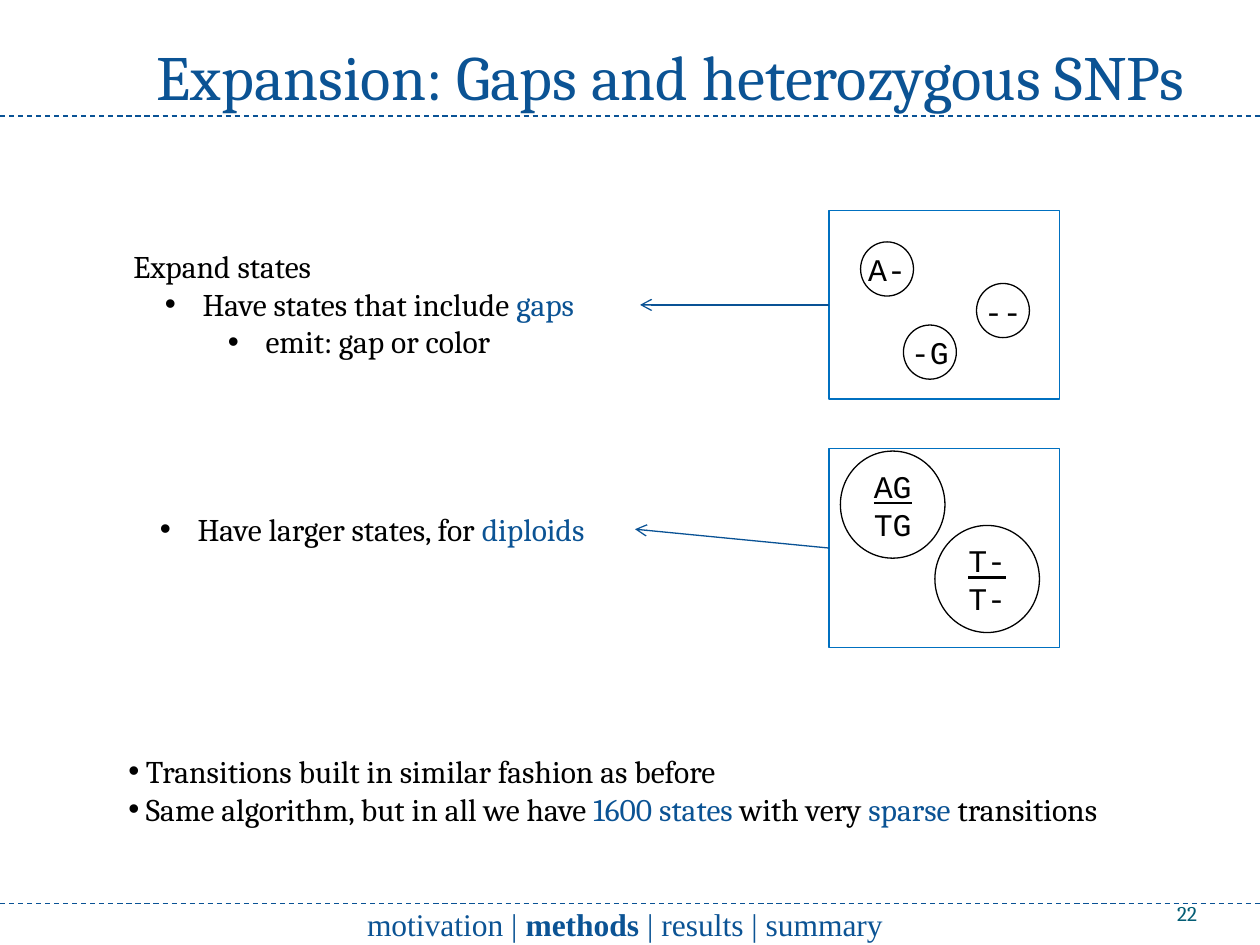
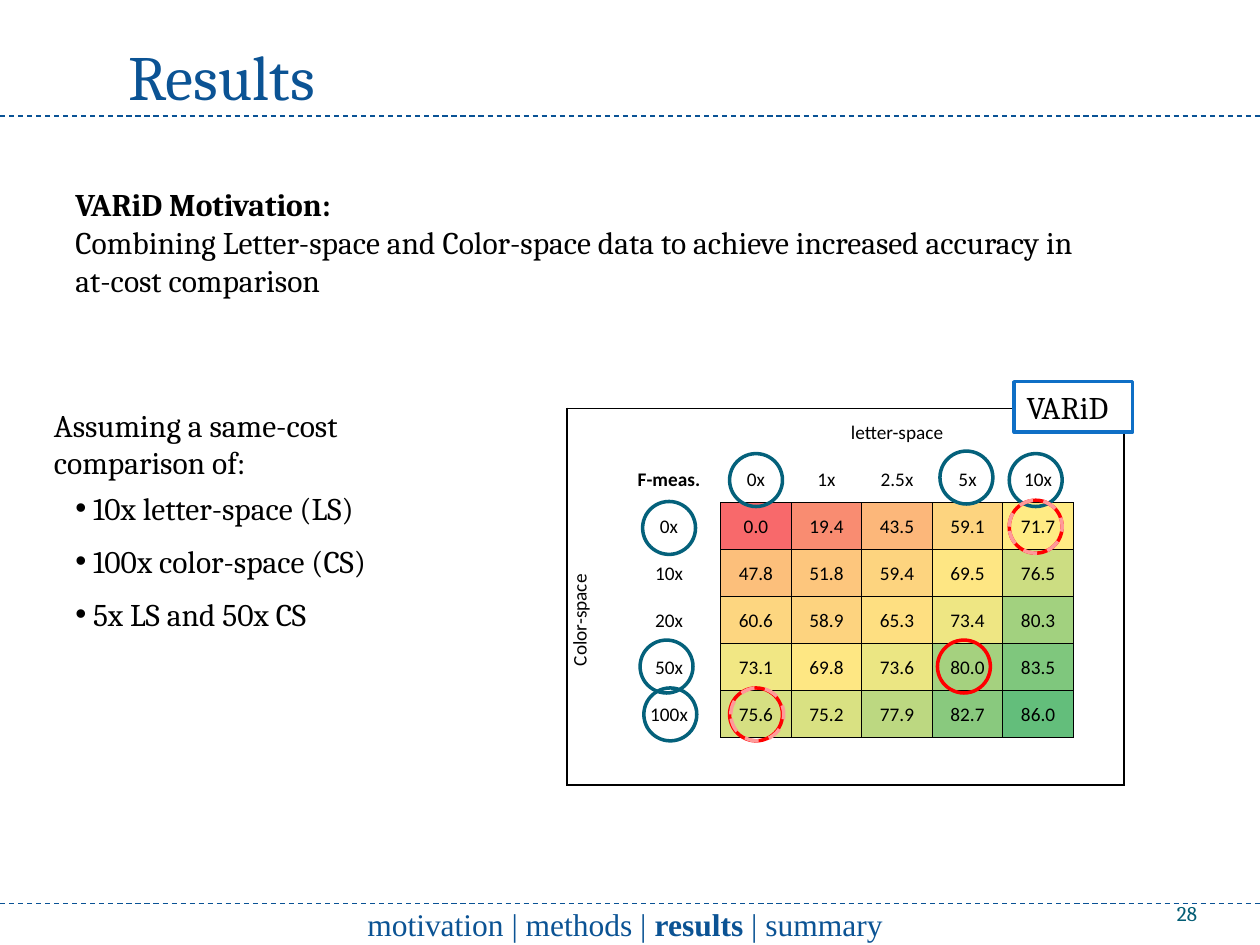
from dataclasses import dataclass
from typing import Optional

from lxml import etree
from pptx import Presentation
from pptx.dml.color import RGBColor
from pptx.enum.dml import MSO_LINE
from pptx.enum.shapes import MSO_CONNECTOR, MSO_SHAPE
from pptx.enum.text import MSO_ANCHOR, PP_ALIGN
from pptx.oxml.ns import qn
from pptx.util import Inches, Pt

RECTANGLE, ELLIPSE, STATE_CIRCLE = MSO_SHAPE.RECTANGLE, MSO_SHAPE.OVAL, MSO_SHAPE.FLOWCHART_CONNECTOR
STRAIGHT = MSO_CONNECTOR.STRAIGHT
DASH = MSO_LINE.DASH
LEFT, CENTER, RIGHT = PP_ALIGN.LEFT, PP_ALIGN.CENTER, PP_ALIGN.RIGHT
TOP, MIDDLE, BOTTOM = MSO_ANCHOR.TOP, MSO_ANCHOR.MIDDLE, MSO_ANCHOR.BOTTOM


@dataclass(frozen=True)
class Theme:
    black: str = "000000"
    white: str = "FFFFFF"
    accent: str = "0B5394"
    rule: str = "095295"
    number: str = "045D75"
    frame: str = "0070C0"
    tag: str = "0F6FC6"
    teal: str = "04617B"
    red: str = "FF0000"
    pink: str = "FF9999"
    serif: str = "Cambria"
    footer: str = "Times New Roman"
    mono: str = "Courier New"
    table: str = "Calibri"
    title_size: int = 36
    body_size: int = 18
    number_size: int = 12
    table_size: int = 11


THEME = Theme()
SECTIONS = ("motivation", "methods", "results", "summary")


@dataclass(frozen=True)
class Area:
    left: float
    top: float
    width: float
    height: float

    def lengths(self) -> tuple:
        return tuple(Inches(n) for n in (self.left, self.top, self.width, self.height))


@dataclass(frozen=True)
class Span:
    text: str
    color: str = THEME.black
    bold: bool = False


@dataclass(frozen=True)
class Bullet:
    """Text indent and hanging distance, in inches."""
    indent: float
    hang: float


@dataclass(frozen=True)
class Para:
    spans: tuple
    bullet: Optional[Bullet] = None


@dataclass(frozen=True)
class State:
    text: str
    area: Area


@dataclass(frozen=True)
class Ring:
    left: float
    top: float
    color: str
    dash: bool = False


TIGHT = Bullet(0.14, 0.14)
FIRST_LEVEL = Bullet(0.55, 0.3)
SECOND_LEVEL = Bullet(1.05, 0.3)


def rgb(color: str) -> RGBColor:
    return RGBColor.from_string(color)


def style_font(font, size: int, name: str, color: str, bold: bool = False) -> None:
    font.size, font.name, font.bold = Pt(size), name, bold
    font.color.rgb = rgb(color)


def add_bullet(para, bullet: Bullet) -> None:
    props = para._p.get_or_add_pPr()
    props.set("marL", str(Inches(bullet.indent)))
    props.set("indent", str(-Inches(bullet.hang)))
    etree.SubElement(props, qn("a:buFont")).set("typeface", "Arial")
    etree.SubElement(props, qn("a:buChar")).set("char", "•")


def fill_frame(frame, paras: list, size: int = THEME.body_size, name: str = THEME.serif,
               align=LEFT) -> None:
    for index, content in enumerate(paras):
        para = frame.add_paragraph() if index else frame.paragraphs[0]
        if content.bullet:
            add_bullet(para, content.bullet)
        para.alignment = align
        for span in content.spans:
            run = para.add_run()
            run.text = span.text
            style_font(run.font, size, name, span.color, span.bold)


def clear_margins(frame) -> None:
    frame.margin_left = frame.margin_right = frame.margin_top = frame.margin_bottom = 0


def add_text(page, area: Area, paras: list, anchor=TOP, **style):
    frame = page.shapes.add_textbox(*area.lengths()).text_frame
    frame.word_wrap = True
    frame.vertical_anchor = anchor
    fill_frame(frame, paras, **style)
    return frame


def add_outline(page, kind, area: Area, color: str, width: float):
    shape = page.shapes.add_shape(kind, *area.lengths())
    shape.shadow.inherit = False
    shape.fill.background()
    shape.line.color.rgb = rgb(color)
    shape.line.width = Pt(width)
    return shape


def add_line(page, start: tuple, end: tuple, dash: bool = False, arrow: bool = False) -> None:
    ends = [Inches(n) for n in (*start, *end)]
    connector = page.shapes.add_connector(STRAIGHT, *ends)
    connector.line.color.rgb = rgb(THEME.rule)
    connector.line.width = Pt(0.75)
    if dash:
        connector.line.dash_style = DASH
    if arrow:
        etree.SubElement(connector.line._get_or_add_ln(), qn("a:tailEnd")).set("type", "arrow")
    etree.SubElement(connector._element.spPr, qn("a:effectLst"))


def add_page(deck, title: str, title_area: Area, section: str, number: int, align=LEFT):
    """Blank page with the shared title, rules, section footer and page number."""
    page = deck.slides.add_slide(deck.slide_layouts[6])
    for height in (0.92, 7.17):
        add_line(page, (0, height), (10, height), dash=True)
    add_text(page, title_area, [Para((Span(title, THEME.accent),))],
             size=THEME.title_size, align=align)
    before, after = " | ".join(SECTIONS).split(section)
    trail = (Span(before, THEME.accent), Span(section, THEME.accent, True), Span(after, THEME.accent))
    add_text(page, Area(2.42, 7.17, 5.08, 0.33), [Para(trail)], MIDDLE,
             name=THEME.footer, align=CENTER)
    frame = add_text(page, Area(8.67, 6.95, 0.83, 0.4), [Para((Span(str(number), THEME.number),))],
                     BOTTOM, size=THEME.number_size, align=RIGHT)
    clear_margins(frame)
    return page


def add_state(page, state: State) -> None:
    circle = add_outline(page, STATE_CIRCLE, state.area, THEME.black, 0.75)
    frame = circle.text_frame
    clear_margins(frame)
    frame.word_wrap = False
    frame.vertical_anchor = MIDDLE
    frame.text = state.text
    para = frame.paragraphs[0]
    para.alignment = CENTER
    for run in para.runs:
        style_font(run.font, THEME.body_size, THEME.mono, THEME.black)
    para.runs[0].font.underline = len(para.runs) > 1


STATES = (
    State("A-", Area(6.83, 1.92, 0.42, 0.43)),
    State("--", Area(7.75, 2.25, 0.42, 0.43)),
    State("-G", Area(7.17, 2.58, 0.42, 0.43)),
    State("AG\vTG", Area(6.67, 3.58, 0.83, 0.85)),
    State("T-\vT-", Area(7.42, 4.17, 0.83, 0.85)),
)


def build_expansion(deck) -> None:
    page = add_page(deck, "Expansion: Gaps and heterozygous SNPs", Area(0.83, 0.25, 8.99, 0.71),
                    "methods", 22, CENTER)
    add_text(page, Area(0.96, 1.91, 4, 1.01), [
        Para((Span("Expand states"),)),
        Para((Span("Have states that include "), Span("gaps", THEME.accent)), FIRST_LEVEL),
        Para((Span("emit: gap or color"),), SECOND_LEVEL),
    ])
    add_text(page, Area(0.92, 4, 4.12, 0.4), [
        Para((Span("Have larger states, for "), Span("diploids", THEME.accent)), FIRST_LEVEL),
    ])
    add_text(page, Area(0.92, 5.92, 8.31, 0.71), [
        Para((Span("Transitions built in similar fashion as before"),), TIGHT),
        Para((Span("Same algorithm, but in all we have "), Span("1600 states ", THEME.accent),
              Span("with very "), Span("sparse ", THEME.accent), Span("transitions")), TIGHT),
    ])
    for state in STATES:
        add_state(page, state)
    for top, height in ((1.67, 1.5), (3.56, 1.58)):
        add_outline(page, RECTANGLE, Area(6.58, top, 1.83, height), THEME.frame, 1)
    add_line(page, (6.58, 2.42), (5.08, 2.42), arrow=True)
    add_line(page, (6.58, 4.35), (5.04, 4.2), arrow=True)


LETTER_DEPTHS = ("0x", "1x", "2.5x", "5x", "10x")
COLOR_DEPTHS = ("0x", "10x", "20x", "50x", "100x")
SCORES = (
    ("0.0", "19.4", "43.5", "59.1", "71.7"),
    ("47.8", "51.8", "59.4", "69.5", "76.5"),
    ("60.6", "58.9", "65.3", "73.4", "80.3"),
    ("73.1", "69.8", "73.6", "80.0", "83.5"),
    ("75.6", "75.2", "77.9", "82.7", "86.0"),
)
HEAT = (
    ("F8696B", "F98C71", "FCB77A", "FDD47F", "FFEB84"),
    ("FCBF7B", "FDC67D", "FDD47F", "FEE683", "CCDD82"),
    ("FDD680", "FDD37F", "FEDF81", "EEE683", "A2D17F"),
    ("F1E784", "FEE783", "EBE683", "A5D17F", "7FC77D"),
    ("D6DF82", "D9E182", "BCD881", "89C97E", "63BE7B"),
)
COLUMN_WIDTHS = (0.4, 0.82, *[0.56] * 5, 0.4)
GRID_SIZE = 8
FIRST_SCORE = 2
SIDES = {"a:lnL": (0, -1), "a:lnR": (0, 1), "a:lnT": (-1, 0), "a:lnB": (1, 0)}


def is_score(row: int, column: int) -> bool:
    return all(0 <= n - FIRST_SCORE < len(SCORES) for n in (row, column))


def set_borders(cell, row: int, column: int) -> None:
    """Frame the table, rule the scores, and leave other edges open."""
    props = cell._tc.get_or_add_tcPr()
    for tag, (down, across) in SIDES.items():
        beside = (row + down, column + across)
        outer = not all(0 <= n < GRID_SIZE for n in beside)
        edge = etree.SubElement(props, qn(tag))
        if outer or is_score(row, column) or is_score(*beside):
            edge.set("w", str(Pt(1 if outer else 0.5)))
            fill = etree.SubElement(edge, qn("a:solidFill"))
            etree.SubElement(fill, qn("a:srgbClr")).set("val", THEME.black)
        else:
            etree.SubElement(edge, qn("a:noFill"))


def add_score_table(page) -> None:
    table = page.shapes.add_table(GRID_SIZE, GRID_SIZE, *Area(4.5, 3.24, 4.42, 2.99).lengths()).table
    table.first_row = table.horz_banding = False
    for column, width in zip(table.columns, COLUMN_WIDTHS):
        column.width = Inches(width)
    labels = {(0, 3): "letter-space", (1, 1): "F-meas.", (2, 0): "Color-space"}
    for index, (letter, color) in enumerate(zip(LETTER_DEPTHS, COLOR_DEPTHS), FIRST_SCORE):
        labels[1, index] = letter
        labels[index, 1] = color
    for row in range(GRID_SIZE):
        for column in range(GRID_SIZE):
            cell = table.cell(row, column)
            set_borders(cell, row, column)
            cell.margin_left = cell.margin_right = cell.margin_top = Inches(0.01)
            cell.margin_bottom = 0
            cell.vertical_anchor = MIDDLE
            text = labels.get((row, column))
            if is_score(row, column):
                text = SCORES[row - FIRST_SCORE][column - FIRST_SCORE]
                cell.fill.solid()
                cell.fill.fore_color.rgb = rgb(HEAT[row - FIRST_SCORE][column - FIRST_SCORE])
            else:
                cell.fill.background()
            if text:
                fill_frame(cell.text_frame, [Para((Span(text, bold=text == "F-meas."),))],
                           THEME.table_size, THEME.table, CENTER)
    table.cell(0, 3).merge(table.cell(0, 5))
    table.cell(2, 0).merge(table.cell(6, 0))
    table.cell(2, 0)._tc.get_or_add_tcPr().set("vert", "vert270")


RINGS = (
    Ring(7.44, 5.08, THEME.red), Ring(5.79, 5.46, THEME.red), Ring(8.01, 3.6, THEME.teal),
    Ring(5.1, 3.98, THEME.teal), Ring(8.01, 3.97, THEME.red), Ring(5.11, 5.46, THEME.teal),
    Ring(5.79, 3.6, THEME.teal), Ring(8.01, 3.97, THEME.pink, True),
    Ring(5.8, 5.46, THEME.pink, True), Ring(5.08, 5.08, THEME.teal), Ring(7.46, 3.58, THEME.teal),
)


def build_results(deck) -> None:
    page = add_page(deck, "Results", Area(0.92, 0.25, 1.77, 0.71), "results", 28)
    add_score_table(page)
    add_text(page, Area(0.5, 1.42, 8.42, 1.01), [
        Para((Span("VARiD Motivation:", bold=True),)),
        Para((Span("Combining Letter-space and Color-space data to achieve increased accuracy "
                   "in at-cost comparison"),)),
    ])
    add_text(page, Area(0.33, 3.17, 2.66, 0.71),
             [Para((Span(line),)) for line in ("Assuming a same-cost", "comparison of:")])
    options = ("10x letter-space (LS)", "100x color-space (CS)", "5x LS and 50x CS")
    for index, option in enumerate(options):
        add_text(page, Area(0.5, 3.83 + 0.42 * index, 3.25, 0.4), [Para((Span(option),), TIGHT)])
    for ring in RINGS:
        shape = add_outline(page, ELLIPSE, Area(ring.left, ring.top, 0.42, 0.42), ring.color, 2)
        if ring.dash:
            shape.line.dash_style = DASH
    tag = add_outline(page, RECTANGLE, Area(8.05, 3.03, 0.94, 0.4), THEME.tag, 2)
    tag.fill.solid()
    tag.fill.fore_color.rgb = rgb(THEME.white)
    fill_frame(tag.text_frame, [Para((Span("VARiD"),))])


def main() -> None:
    deck = Presentation()
    deck.slide_width, deck.slide_height = Inches(10), Inches(7.5)
    build_expansion(deck)
    build_results(deck)
    deck.save("out.pptx")


if __name__ == "__main__":
    main()
